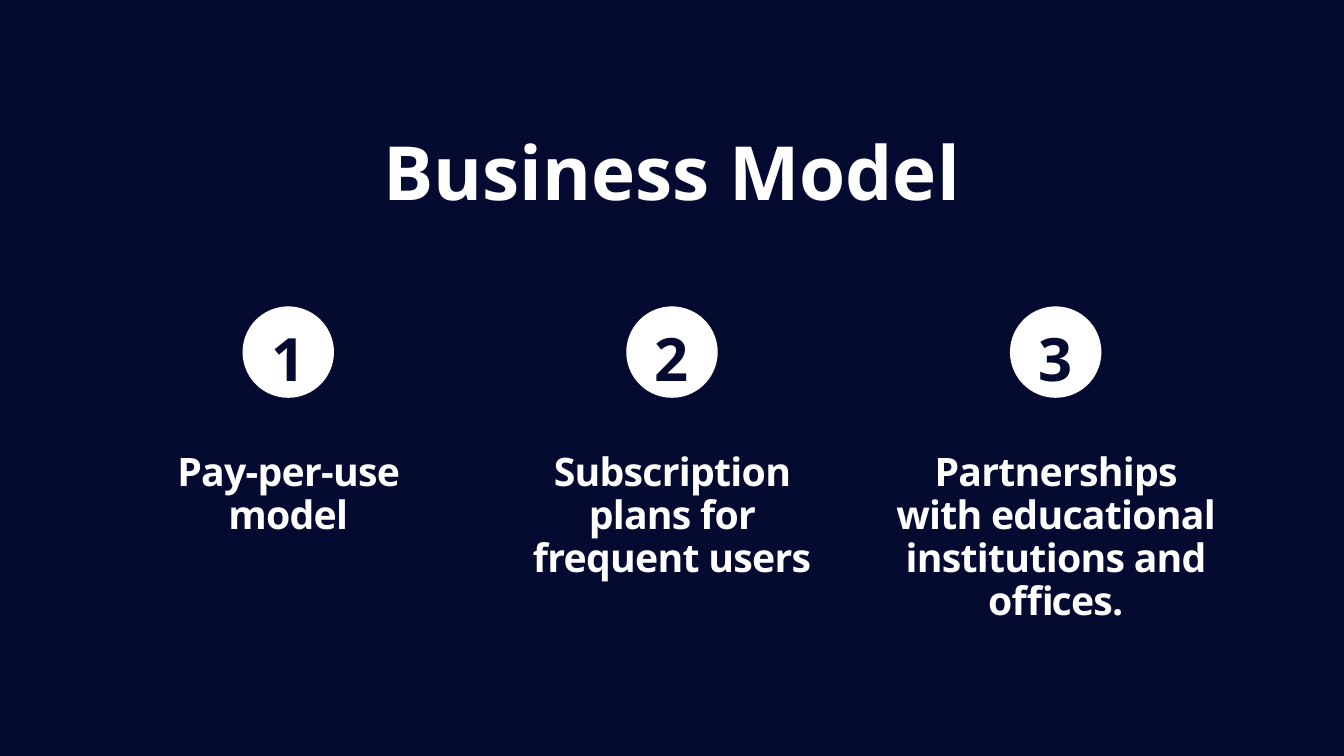
from pptx import Presentation
from pptx import util as u
from pptx.dml.color import RGBColor
from pptx.enum import shapes, text

WIDTH, HEIGHT = 20, 11.25
NAVY, WHITE = "050A30", "FFFFFF"
MODELS = [
    ("Pay-per-use model", 1.29),
    ("Subscription plans for frequent users", 1.92),
    ("Partnerships with educational institutions and offices.", 3.19),
]
COLUMN, PITCH = 5.01, 5.71
BADGE = 1.36


def paint(fill, color):
    """Give a fill one solid colour."""
    fill.solid()
    fill.fore_color.rgb = RGBColor.from_string(color)


def add_text(parent, box, words, size, leading, color=WHITE, tracking=0):
    """Place a centred bold line of text in a box of inches."""
    tf = parent.add_textbox(*map(u.Inches, box)).text_frame
    tf.margin_left = tf.margin_right = tf.margin_top = tf.margin_bottom = 0
    tf.word_wrap = True
    tf.text = words
    p = tf.paragraphs[0]
    p.alignment = text.PP_ALIGN.CENTER
    p.line_spacing = u.Pt(leading)
    r = p.runs[0]
    r.font.name, r.font.size, r.font.bold = "Open Sans", u.Pt(size), True
    r.font.color.rgb = RGBColor.from_string(color)
    if tracking:
        r._r.get_or_add_rPr().set("spc", str(round(tracking * 100)))


def add_badge(s, left, top, number):
    """Group a white disc with its number."""
    group = s.shapes.add_group_shape().shapes
    disc = group.add_shape(shapes.MSO_SHAPE.OVAL, *map(u.Inches, (left, top, BADGE, BADGE)))
    disc.shadow.inherit = False
    paint(disc.fill, WHITE)
    disc.line.fill.background()
    add_text(group, (left, top - 0.1, BADGE, 1.31), str(number), 64, 100.5, NAVY, -1.6)


def add_model(s, left, top, number, words, height):
    """Build one column: a badge centred over its description."""
    add_badge(s, left + (COLUMN - BADGE) / 2, top, number)
    add_text(s.shapes, (left, top + 2.15, COLUMN, height), words, 42, 46.2, tracking=-0.8)


def main():
    """Build the business model slide."""
    prs = Presentation()
    prs.slide_width, prs.slide_height = u.Inches(WIDTH), u.Inches(HEIGHT)
    s = prs.slides.add_slide(prs.slide_layouts[6])
    paint(s.background.fill, NAVY)
    title_width = 11.88
    add_text(s.shapes, ((WIDTH - title_width) / 2, HEIGHT / 6, title_width, 1.33),
             "Business Model", 80, 96)
    first = (WIDTH - COLUMN) / 2 - PITCH
    for i, (words, height) in enumerate(MODELS):
        add_model(s, first + i * PITCH, 4.56, i + 1, words, height)
    prs.save("out.pptx")


if __name__ == "__main__":
    main()
